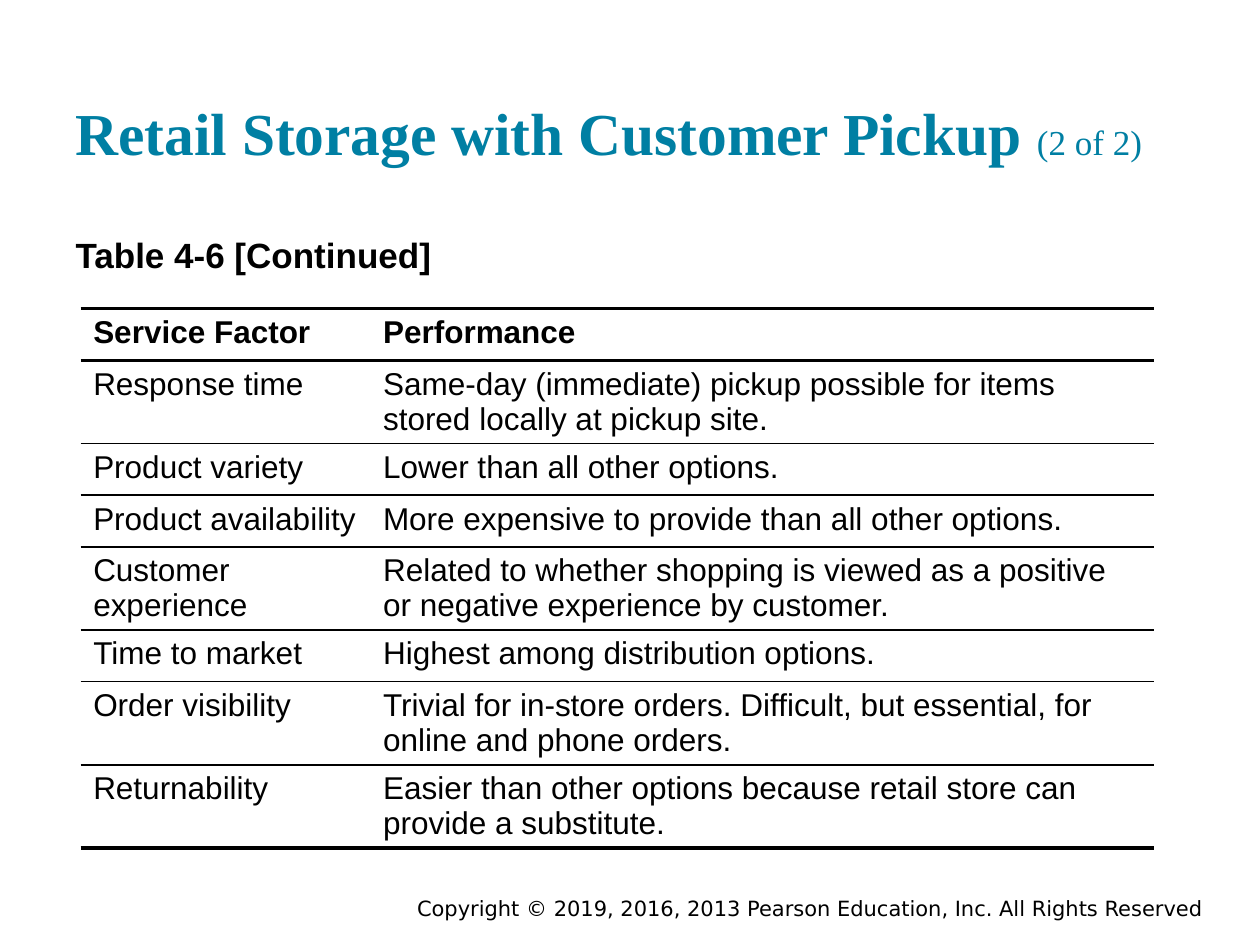
from typing import NamedTuple

from lxml.etree import SubElement
from pptx import Presentation
from pptx.dml.color import RGBColor
from pptx.enum.text import MSO_ANCHOR as ANCHOR, MSO_AUTO_SIZE as AUTO, PP_ALIGN as ALIGN
from pptx.oxml.ns import qn
from pptx.util import Inches, Pt

COLORS = {"title": "007FA3", "text": "000000", "rule": "000000", "cell": "FFFFFF"}
COL_WIDTHS = (2.3, 6.22)
LINE_H, PAD_H = 0.22, 0.19
THICK, THIN = 2.25, 1


class Style(NamedTuple):
    size: float
    font: str = "Arial"
    color: str = "text"
    bold: bool = False


class Row(NamedTuple):
    factor: str
    performance: str
    lines: int = 1


ROWS = [
    Row("Service Factor", "Performance"),
    Row("Response time",
        "Same-day (immediate) pickup possible for items stored locally at pickup site.", 2),
    Row("Product variety", "Lower than all other options."),
    Row("Product availability", "More expensive to provide than all other options."),
    Row("Customer experience",
        "Related to whether shopping is viewed as a positive or negative experience by customer.", 2),
    Row("Time to market", "Highest among distribution options."),
    Row("Order visibility",
        "Trivial for in-store orders. Difficult, but essential, for online and phone orders.", 2),
    Row("Returnability",
        "Easier than other options because retail store can provide a substitute.", 2),
]


def style_run(r, style: Style) -> None:
    """Apply a text style to a run."""
    r.font.size, r.font.name, r.font.bold = Pt(style.size), style.font, style.bold
    r.font.color.rgb = RGBColor.from_string(COLORS[style.color])


def place(sp, left: float, top: float, width: float, height: float) -> None:
    """Move and size a shape in inches."""
    sp.left, sp.top, sp.width, sp.height = map(Inches, (left, top, width, height))


def fill_frame(sp, parts: list[tuple[str, Style]], anchor: ANCHOR, align: ALIGN, inset: float):
    """Write styled runs in one paragraph and return that paragraph."""
    tf = sp.text_frame
    tf.word_wrap, tf.auto_size, tf.vertical_anchor = True, AUTO.NONE, anchor
    tf.margin_left = tf.margin_right = tf.margin_top = tf.margin_bottom = Inches(inset)
    p = tf.paragraphs[0]
    p.alignment, p.space_before = align, Pt(0)
    for text, style in parts:
        r = p.add_run()
        r.text = text
        style_run(r, style)
    return p


def set_border(cell, tag: str, width: float) -> None:
    """Add one cell border, invisible when its width is zero."""
    ln = SubElement(cell._tc.get_or_add_tcPr(), qn(f"a:{tag}"), w=str(Pt(width)))
    if width:
        fill = SubElement(ln, qn("a:solidFill"))
        SubElement(fill, qn("a:srgbClr"), val=COLORS["rule"])
    else:
        SubElement(ln, qn("a:noFill"))


def add_service_table(slide, left: float, top: float) -> None:
    """Draw the service factor table with horizontal rules only."""
    heights = [PAD_H + LINE_H * row.lines for row in ROWS]
    frame = slide.shapes.add_table(len(ROWS), len(COL_WIDTHS), Inches(left), Inches(top),
                                   Inches(sum(COL_WIDTHS)), Inches(sum(heights)))
    table = frame.table
    table.first_row = table.horz_banding = False
    for col, width in zip(table.columns, COL_WIDTHS):
        col.width = Inches(width)
    rules = [THICK, THICK] + [THIN] * (len(ROWS) - 2) + [THICK]
    for i, row in enumerate(ROWS):
        table.rows[i].height = Inches(heights[i])
        for cell, text in zip(table.rows[i].cells, (row.factor, row.performance)):
            cell.text = text
            style_run(cell.text_frame.paragraphs[0].runs[0], Style(18, bold=i == 0))
            for tag, width in (("lnL", 0), ("lnR", 0), ("lnT", rules[i]), ("lnB", rules[i + 1])):
                set_border(cell, tag, width)
            cell.fill.solid()
            cell.fill.fore_color.rgb = RGBColor.from_string(COLORS["cell"])


def main() -> None:
    """Build the slide and save it."""
    prs = Presentation()
    prs.slide_width, prs.slide_height = Inches(10), Inches(7.5)
    slide = prs.slides.add_slide(prs.slide_layouts[1])

    title = slide.shapes.title
    place(title, 0.5, 0.72, 9, 0.72)
    serif = Style(34, "Times New Roman", "title", True)
    p = fill_frame(title, [("Retail Storage with Customer Pickup ", serif),
                           ("(2 of 2)", serif._replace(size=20, bold=False))],
                   ANCHOR.BOTTOM, ALIGN.LEFT, 0.1)
    p.line_spacing = 0.9

    body = slide.placeholders[1]
    place(body, 0.5, 1.75, 9, 0.52)
    p = fill_frame(body, [("Table 4-6 [Continued]", Style(20, bold=True))],
                   ANCHOR.TOP, ALIGN.LEFT, 0.1)
    pPr = p._p.get_or_add_pPr()
    pPr.set("marL", "0")
    pPr.set("indent", "0")
    SubElement(pPr, qn("a:buNone"))

    add_service_table(slide, 0.64, 2.45)

    footer = slide.shapes.add_textbox(0, 0, 0, 0)
    place(footer, 3, 7.08, 6.65, 0.25)
    fill_frame(footer, [("Copyright © 2019, 2016, 2013 Pearson Education, Inc. All Rights Reserved",
                         Style(12, "DejaVu Sans"))], ANCHOR.MIDDLE, ALIGN.RIGHT, 0.1)

    prs.save("out.pptx")


if __name__ == "__main__":
    main()
